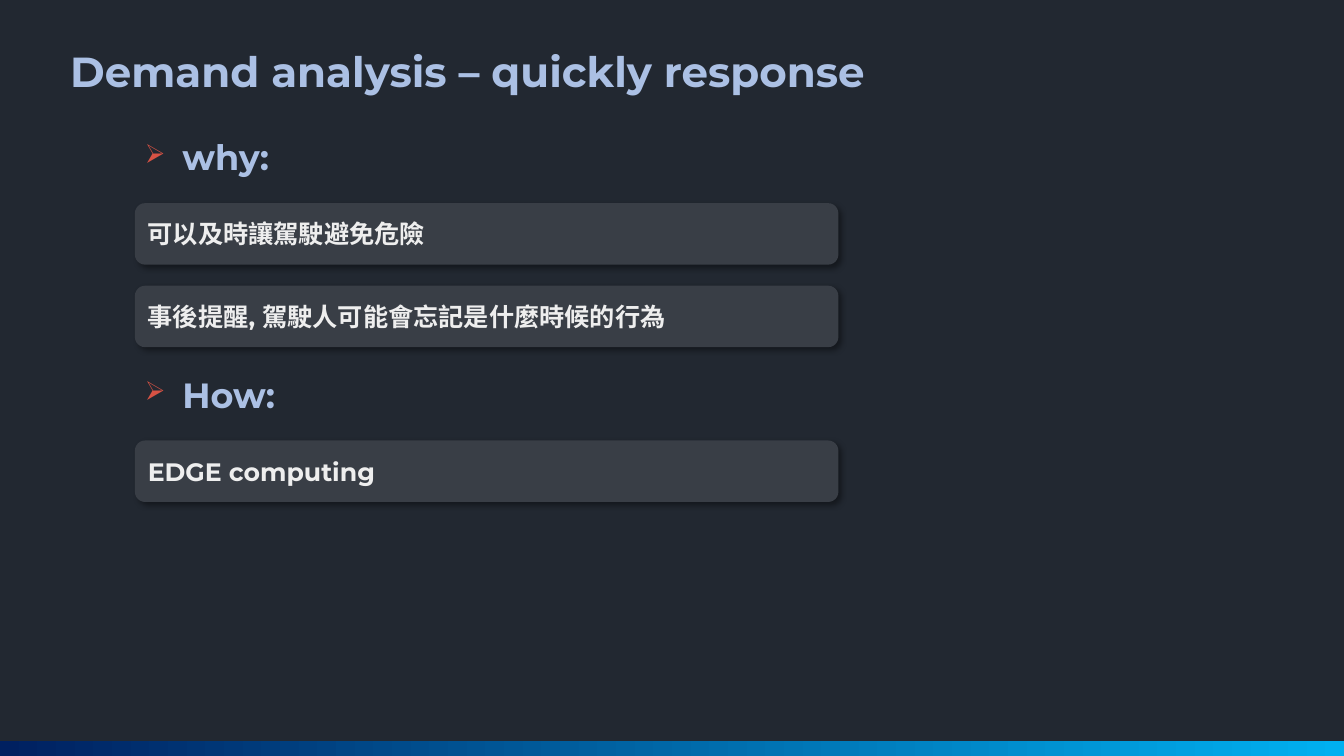
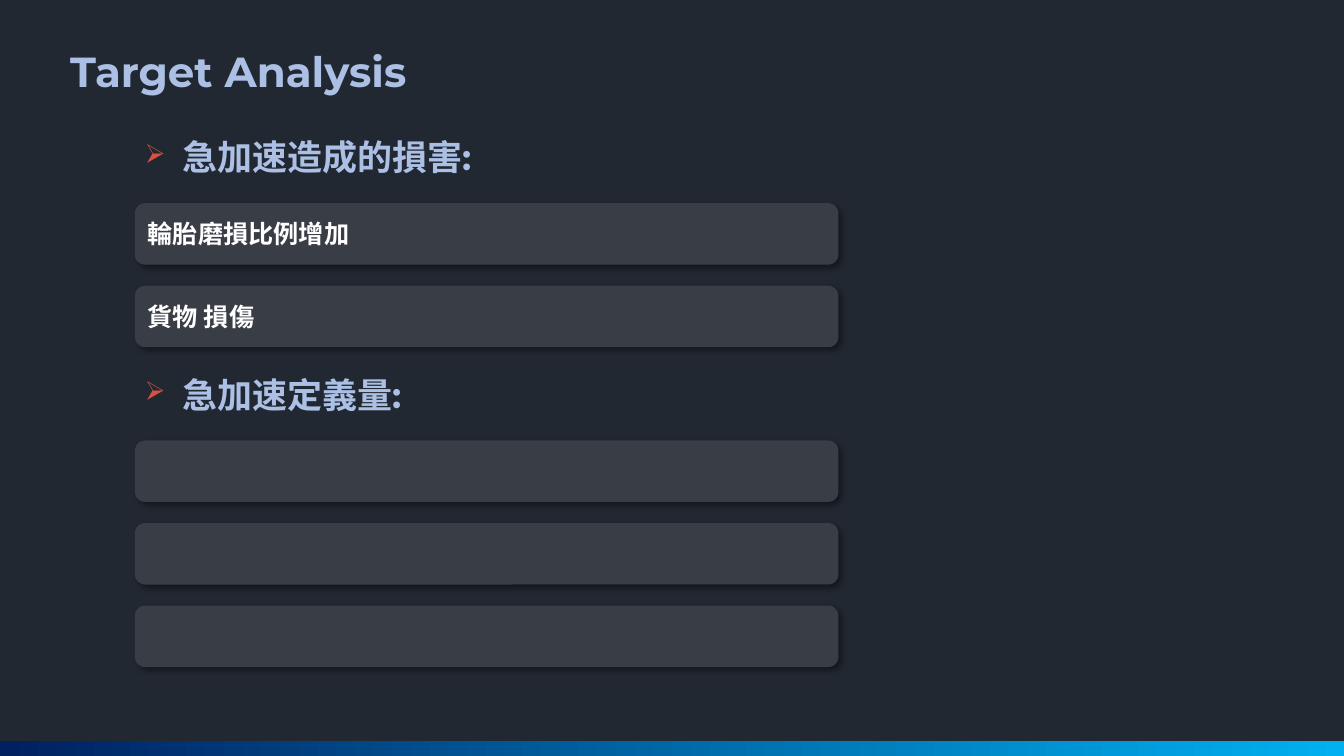
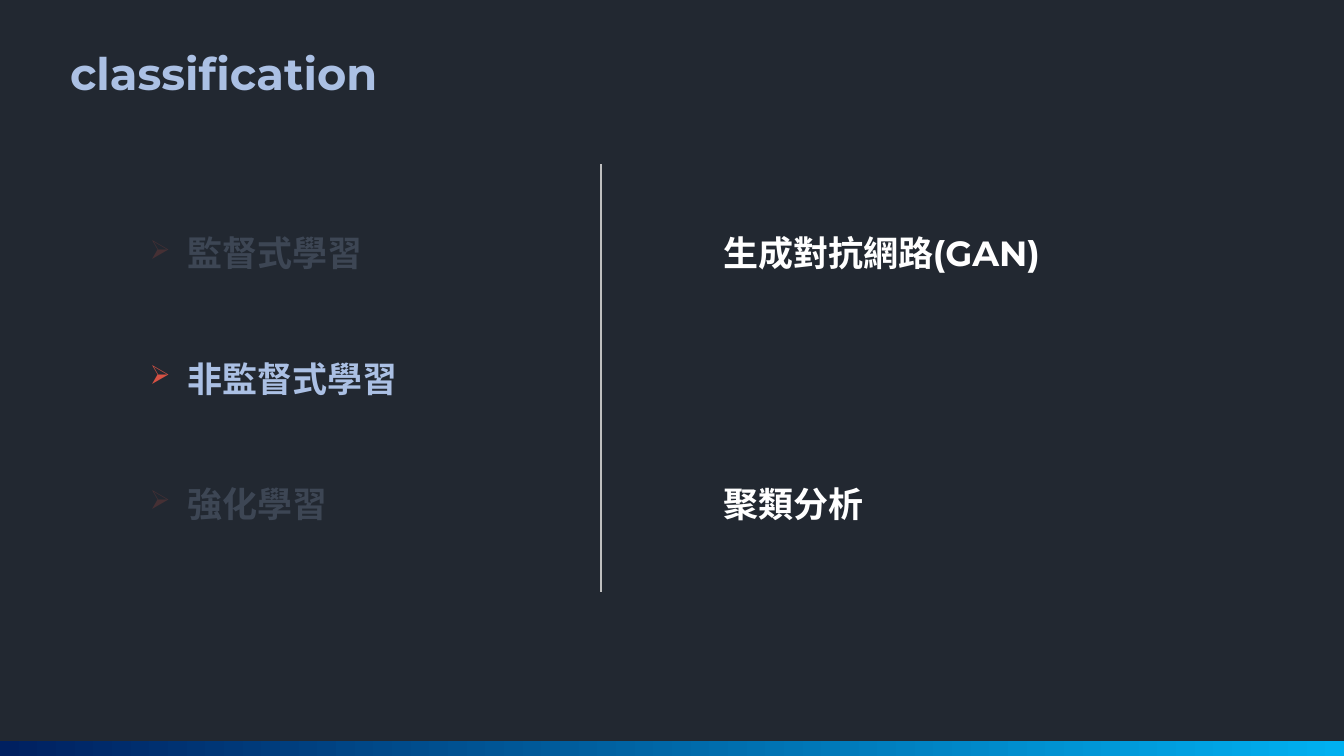
from lxml import etree
from pptx import Presentation
from pptx.dml.color import RGBColor
from pptx.enum.shapes import MSO_CONNECTOR, MSO_SHAPE
from pptx.enum.text import MSO_ANCHOR, MSO_AUTO_SIZE, PP_ALIGN
from pptx.oxml.ns import qn
from pptx.util import Cm, Pt

RECTANGLE = MSO_SHAPE.RECTANGLE
ROUNDED = MSO_SHAPE.ROUNDED_RECTANGLE
STRAIGHT = MSO_CONNECTOR.STRAIGHT
LEFT = PP_ALIGN.LEFT
MIDDLE = MSO_ANCHOR.MIDDLE
GROW = MSO_AUTO_SIZE.SHAPE_TO_FIT_TEXT

BACKGROUND = "222831"
PANEL = "393E46"
ACCENT = "ABC0E4"
BULLET = "D75244"
WHITE = "FFFFFF"
SOFT_WHITE = "EEEEEE"
DIVIDER = "BFBFBF"
FONT = "Montserrat"

SLIDE_WIDTH, SLIDE_HEIGHT = 33.87, 19.05
BAND_HEIGHT = 0.38
CONTENT_LEFT, CONTENT_TOP = 3.4, 3.3
HEADING_HEIGHT = 1.32
HEADING_STEP = 1.82
BAR_WIDTH, BAR_HEIGHT, BAR_STEP = 17.73, 1.55, 2.08


def color(value):
    return RGBColor.from_string(value)


def add_xml(parent, tag, **attributes):
    return etree.SubElement(parent, qn(tag), attributes)


def add_bullet(paragraph):
    properties = paragraph._p.get_or_add_pPr()
    properties.set("marL", str(Cm(0.95)))
    properties.set("indent", str(Cm(-0.95)))
    add_xml(add_xml(properties, "a:buClr"), "a:srgbClr", val=BULLET)
    add_xml(properties, "a:buSzPct", val="75000")
    add_xml(properties, "a:buChar", char="➢")


def write(shape, text, size=25, fill=ACCENT, font=FONT, bullet=False):
    paragraph = shape.text_frame.paragraphs[0]
    paragraph.alignment = LEFT
    if bullet:
        add_bullet(paragraph)
    run = paragraph.add_run()
    run.text = text
    run.font.name = font
    run.font.size = Pt(size)
    run.font.bold = True
    run.font.color.rgb = color(fill)


def add_text(slide, text, left, top, width, height=HEADING_HEIGHT, wrap=False, **text_format):
    box = slide.shapes.add_textbox(Cm(left), Cm(top), Cm(width), Cm(height))
    box.text_frame.word_wrap = wrap
    box.text_frame.auto_size = GROW
    write(box, text, **text_format)


def add_panel(slide, kind, left, top, width, height, fill):
    shape = slide.shapes.add_shape(kind, Cm(left), Cm(top), Cm(width), Cm(height))
    shape.shadow.inherit = False
    shape.line.fill.background()
    shape.fill.solid()
    shape.fill.fore_color.rgb = color(fill)
    return shape


def add_bar(slide, text, left, top, **text_format):
    bar = add_panel(slide, ROUNDED, left, top, BAR_WIDTH, BAR_HEIGHT, PANEL)
    effects = bar.element.spPr.find(qn("a:effectLst"))
    shadow = add_xml(effects, "a:outerShdw", blurRad=str(Pt(4)), dist=str(Pt(3)),
                     dir="2700000", algn="tl", rotWithShape="0")
    add_xml(add_xml(shadow, "a:srgbClr", val="000000"), "a:alpha", val="40000")
    bar.text_frame.vertical_anchor = MIDDLE
    if text:
        write(bar, text, size=18, **text_format)


def add_section(slide, left, top, heading, heading_width, bars, **bar_format):
    add_text(slide, heading, left, top, heading_width, bullet=True)
    top += HEADING_STEP
    for text in bars:
        add_bar(slide, text, left, top, **bar_format)
        top += BAR_STEP
    return top


def add_shade(slide, left, top, width, height):
    shade = add_panel(slide, ROUNDED, left, top, width, height, BACKGROUND)
    fill = shade.element.spPr.find(qn("a:solidFill"))
    add_xml(fill.find(qn("a:srgbClr")), "a:alpha", val="80000")


def add_divider(slide, left, top, height):
    line = slide.shapes.add_connector(STRAIGHT, Cm(left), Cm(top), Cm(left), Cm(top + height))
    line.line.color.rgb = color(DIVIDER)
    line.line.width = Pt(1.5)
    add_xml(line.element.spPr, "a:effectLst")


def set_up_master(presentation, slide):
    master = presentation.slide_master
    master.background.fill.solid()
    master.background.fill.fore_color.rgb = color(BACKGROUND)
    band = add_panel(slide, RECTANGLE, 0, SLIDE_HEIGHT - BAND_HEIGHT, SLIDE_WIDTH, BAND_HEIGHT, PANEL)
    band.fill.gradient()
    band.fill.gradient_angle = 0
    for stop, position, value in zip(band.fill.gradient_stops, (0, 1), ("002060", "00B0F0")):
        stop.position = position
        stop.color.rgb = color(value)
    master.shapes.element.append(band.element)


def add_titled_slide(presentation, title, title_width, size=30):
    slide = presentation.slides.add_slide(presentation.slide_layouts[6])
    add_text(slide, title, 1.52, 1.02, title_width, height=1.55, size=size)
    return slide


def add_analysis_slide(presentation, title, title_width, sections, **bar_format):
    slide = add_titled_slide(presentation, title, title_width)
    top = CONTENT_TOP
    for heading, heading_width, bars in sections:
        top = add_section(slide, CONTENT_LEFT, top, heading, heading_width, bars, **bar_format)
    return slide


def add_learning_types(slide, left, top, width, step, names):
    for index, name in enumerate(names):
        add_text(slide, name, left, top + index * step, width, wrap=True, bullet=True)
    for shade_top in (top - 1.61, top + 2 * step - 0.25):
        add_shade(slide, left - 0.79, shade_top, 11.23, 4.39)


def add_classification_slide(presentation):
    slide = add_titled_slide(presentation, "classification", 8.89, size=32)
    top, step = 5.72, 3.16
    add_divider(slide, 15.14, 4.14, 10.77)
    for row, text in ((0, "生成對抗網路(GAN)"), (2, "聚類分析")):
        add_text(slide, text, 17.98, top + row * step, 9.98, wrap=True, fill=WHITE)
    add_learning_types(slide, 3.53, top, 7.87, step, ("監督式學習", "非監督式學習", "強化學習"))


def main():
    presentation = Presentation()
    presentation.slide_width = Cm(SLIDE_WIDTH)
    presentation.slide_height = Cm(SLIDE_HEIGHT)
    demand = add_analysis_slide(
        presentation, "Demand analysis – quickly response", 21.64,
        (("why:", 4.06, ("可以及時讓駕駛避免危險", "事後提醒, 駕駛人可能會忘記是什麼時候的行為")),
         ("How:", 4.24, ("EDGE computing",))),
        fill=SOFT_WHITE)
    set_up_master(presentation, demand)
    add_analysis_slide(
        presentation, "Target Analysis", 9.65,
        (("急加速造成的損害:", 9.19, ("輪胎磨損比例增加", "貨物 損傷")),
         ("急加速定義量:", 7.42, ("", "", ""))),
        fill=WHITE, font="Calibri")
    add_classification_slide(presentation)
    presentation.save("out.pptx")


if __name__ == "__main__":
    main()
